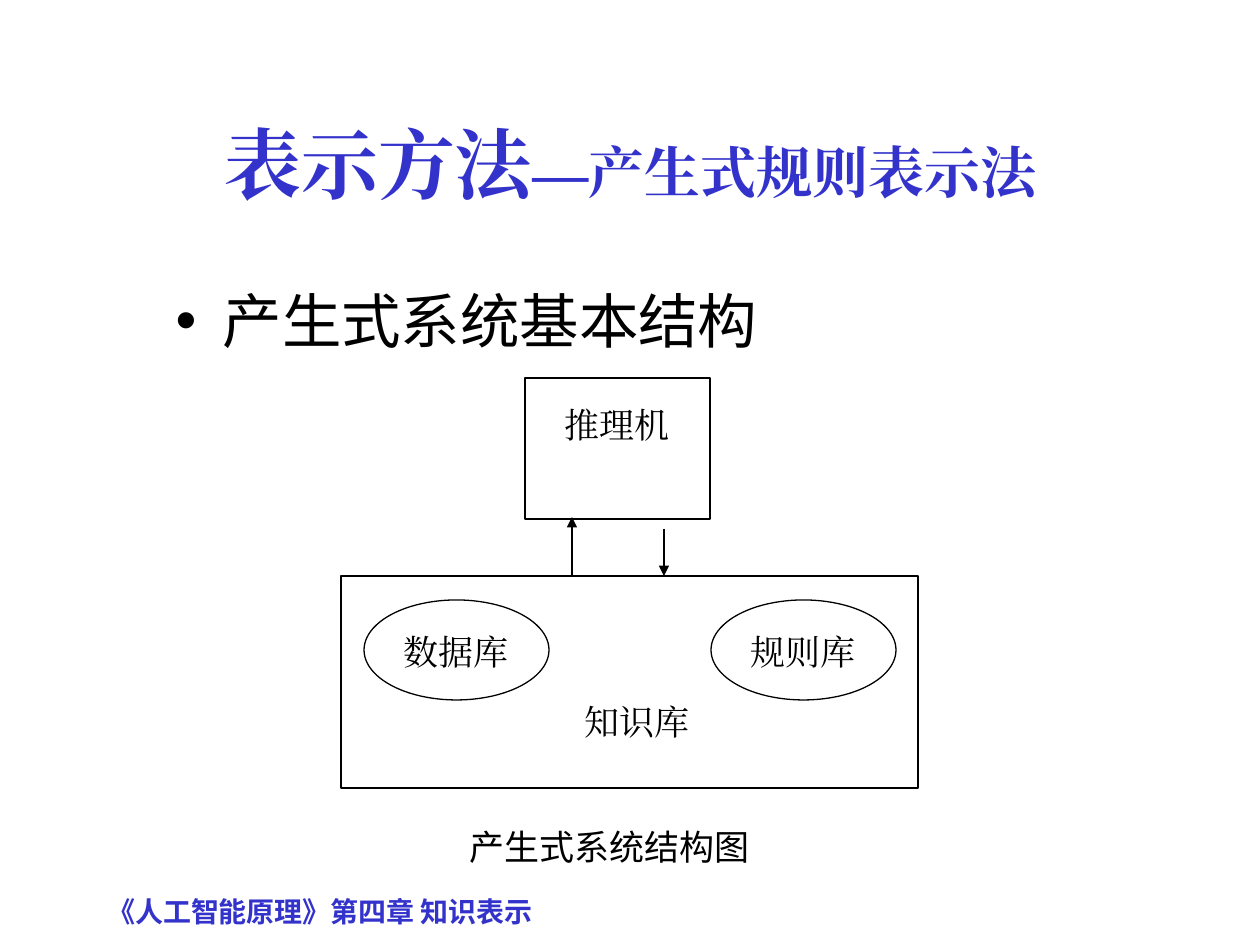
import dataclasses
import typing

import lxml.etree
import pptx
import pptx.dml.color
import pptx.enum.shapes
import pptx.enum.text
import pptx.oxml.ns
import pptx.util

PX = 914400 / 126
BLUE, BLACK, WHITE = "3333CC", "000000", "FFFFFF"
SERIF, SANS, SANS_SC = "Times New Roman", "Noto Sans CJK JP", "Noto Sans CJK SC"
ALIGN = pptx.enum.text.PP_ALIGN
KIND = pptx.enum.shapes.MSO_SHAPE
qn = pptx.oxml.ns.qn


@dataclasses.dataclass
class Box:
    left: int
    top: int
    width: int
    height: int

    def emu(self) -> list[int]:
        return [px(n) for n in dataclasses.astuple(self)]


@dataclasses.dataclass
class Style:
    size: int = 20
    face: str = SERIF
    color: str = BLACK
    bold: bool = False
    align: typing.Any = ALIGN.CENTER


@dataclasses.dataclass
class Arrow:
    x: int
    start: int
    end: int


def px(n: int) -> int:
    return round(n * PX)


def rgb(code: str) -> pptx.dml.color.RGBColor:
    return pptx.dml.color.RGBColor.from_string(code)


def format_text(para, style: Style) -> None:
    """Set the look of a paragraph, with one face for Latin and Asian text."""
    para.alignment = style.align
    para.space_before = pptx.util.Pt(0)
    font = para.font
    font.size = pptx.util.Pt(style.size)
    font.bold = style.bold
    font.name = style.face
    font.color.rgb = rgb(style.color)
    props = para._p.pPr.find(qn("a:defRPr"))
    lxml.etree.SubElement(props, qn("a:ea"), typeface=style.face)


def write(shape, text: str, style: Style, inset: int = 6) -> None:
    """Write one line at the top of a shape, inset px below its edge."""
    frame = shape.text_frame
    frame.word_wrap = True
    frame.vertical_anchor = pptx.enum.text.MSO_ANCHOR.TOP
    frame.margin_top = px(inset)
    para = frame.paragraphs[0]
    para.text = text
    format_text(para, style)


def add_text(shapes, box: Box, text: str, style: Style, inset: int = 6) -> None:
    write(shapes.add_textbox(*box.emu()), text, style, inset)


def add_outline(shapes, kind, box: Box):
    shape = shapes.add_shape(kind, *box.emu())
    shape.shadow.inherit = False
    shape.fill.background()
    shape.line.color.rgb = rgb(BLACK)
    shape.line.width = pptx.util.Pt(0.75)
    return shape


def add_arrow(shapes, arrow: Arrow) -> None:
    x = px(arrow.x)
    line = shapes.add_connector(
        pptx.enum.shapes.MSO_CONNECTOR.STRAIGHT,
        x, px(arrow.start), x, px(arrow.end))
    line.line.color.rgb = rgb(BLACK)
    line.line.width = pptx.util.Pt(0.75)
    lxml.etree.SubElement(line.line._get_or_add_ln(), qn("a:tailEnd"), type="triangle")
    lxml.etree.SubElement(line._element.spPr, qn("a:effectLst"))


def place(shape, box: Box) -> None:
    shape.left, shape.top, shape.width, shape.height = box.emu()


def fill_title(shape) -> None:
    place(shape, Box(95, 84, 1071, 158))
    shape.text_frame.vertical_anchor = pptx.enum.text.MSO_ANCHOR.MIDDLE
    para = shape.text_frame.paragraphs[0]
    for text, size in (("表示方法", 44), ("—产生式规则表示法", 32)):
        run = para.add_run()
        run.text = text
        run.font.size = pptx.util.Pt(size)
    format_text(para, Style(44, SERIF, BLUE, True))


def fill_body(shape) -> None:
    place(shape, Box(163, 278, 1071, 635))
    props = shape.text_frame.paragraphs[0]._p.get_or_add_pPr()
    indent = px(47)
    props.set("marL", str(indent))
    props.set("indent", str(-indent))
    tint = lxml.etree.SubElement(props, qn("a:buClr"))
    lxml.etree.SubElement(tint, qn("a:srgbClr"), val=BLACK)
    lxml.etree.SubElement(props, qn("a:buChar"), char="•")
    write(shape, "产生式系统基本结构", Style(34, SANS, align=ALIGN.JUSTIFY))


def draw_chart(shapes) -> None:
    """Draw the engine, the knowledge base with its two stores, and the arrows."""
    engine = add_outline(shapes, KIND.RECTANGLE, Box(525, 378, 185, 141))
    write(engine, "推理机", Style(), 26)
    for i, name in enumerate(("数据库", "规则库")):
        left = 364 + 347 * i
        add_text(shapes, Box(left + 23, 624, 139, 71), name, Style())
        add_outline(shapes, KIND.OVAL, Box(left, 600, 185, 100))
    add_outline(shapes, KIND.RECTANGLE, Box(341, 576, 577, 212))
    label = add_outline(shapes, KIND.RECTANGLE, Box(572, 694, 139, 71))
    label.fill.solid()
    label.fill.fore_color.rgb = rgb(WHITE)
    label.line.fill.background()
    write(label, "知识库", Style(align=ALIGN.JUSTIFY))
    for arrow in (Arrow(664, 529, 576), Arrow(572, 576, 517)):
        add_arrow(shapes, arrow)


def main() -> None:
    deck = pptx.Presentation()
    deck.slide_width, deck.slide_height = px(1260), px(945)
    slide = deck.slides.add_slide(deck.slide_layouts[1])
    shapes = slide.shapes
    fill_title(shapes.title)
    fill_body(slide.placeholders[1])
    add_text(shapes, Box(95, 861, 735, 63), "《人工智能原理》第四章 知识表示",
             Style(16, SANS, BLUE, True, ALIGN.LEFT), 34)
    draw_chart(shapes.add_group_shape().shapes)
    add_text(shapes, Box(457, 819, 347, 55), "产生式系统结构图",
             Style(face=SANS_SC, align=ALIGN.LEFT))
    deck.save("out.pptx")


if __name__ == "__main__":
    main()
